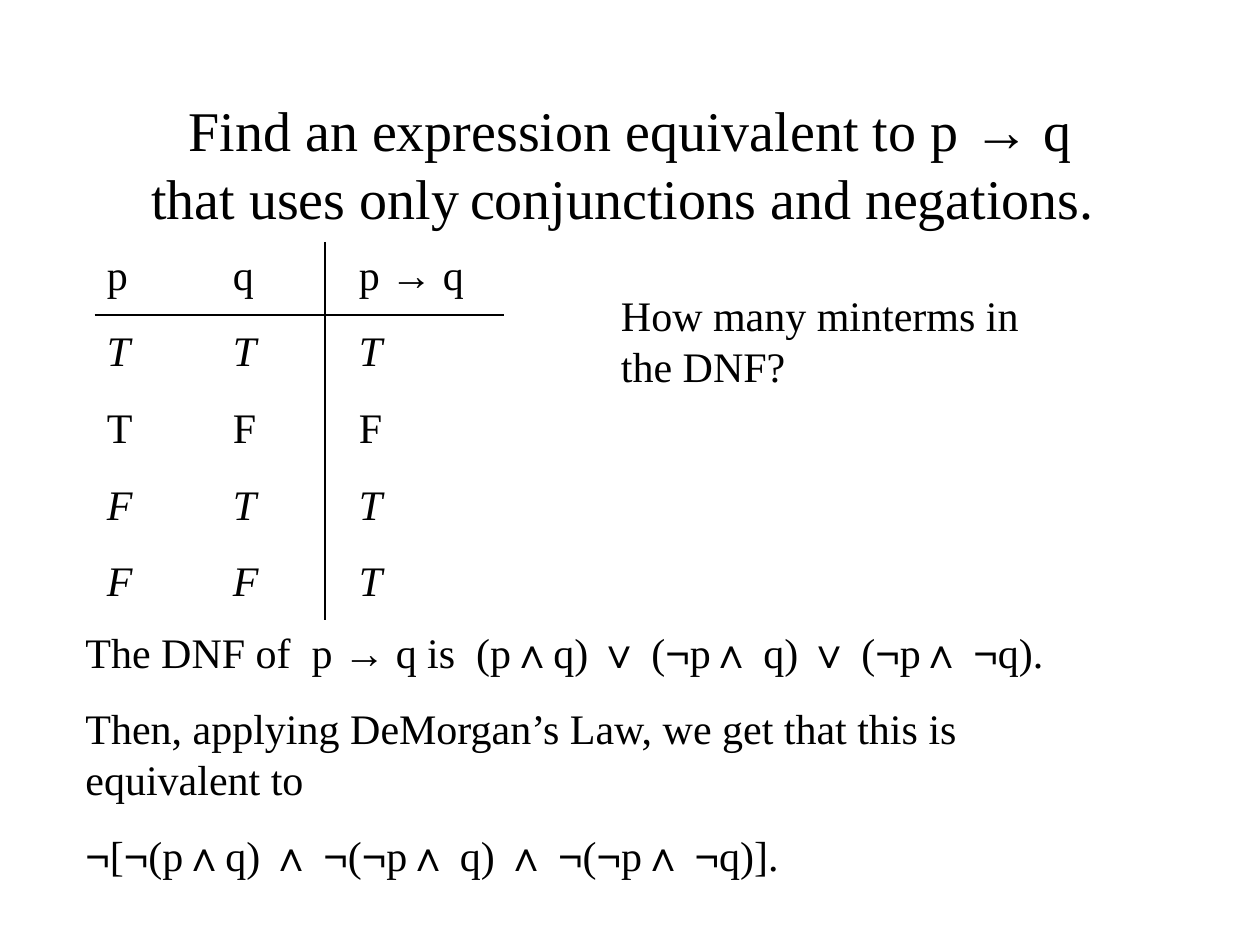
from itertools import groupby

from lxml.etree import SubElement
from pptx import Presentation
from pptx.dml.color import RGBColor
from pptx.enum.shapes import MSO_CONNECTOR as Link
from pptx.enum.text import MSO_ANCHOR as Anchor, PP_ALIGN as Align
from pptx.oxml.ns import qn
from pptx.util import Inches, Pt

BLACK = RGBColor(0, 0, 0)
SIGNS = "→∧∨¬"

deck = Presentation()
deck.slide_width, deck.slide_height = Inches(10), Inches(7.5)
slide = deck.slides.add_slide(deck.slide_layouts[6])
shapes = slide.shapes


def add_box(left, top, width, height):
    box = shapes.add_textbox(*map(Inches, (left, top, width, height)))
    box.text_frame.word_wrap = True
    return box.text_frame


def write(par, text, size=24, italic=False):
    """Append text to a paragraph, with the logic signs in Arial."""
    for sign, chars in groupby(text, lambda char: char in SIGNS):
        run = par.add_run()
        run.text = "".join(chars)
        font = run.font
        font.name = "Arial" if sign else "Times New Roman"
        font.size, font.italic = Pt(size), italic
        font.color.rgb = BLACK


# Title
frame = add_box(0.75, 0.67, 8.5, 1.25)
frame.vertical_anchor = Anchor.MIDDLE
title = frame.paragraphs[0]
title.alignment = Align.CENTER
write(title, "Find an expression equivalent to p → q", 32)
title.add_line_break()
write(title, "that uses only", 32)
write(title, " ")
write(title, "conjunctions and negations. ", 32)

# Truth table, question and answer; rows of the DNF are italic
truth = ["p\tq\tp → q", "T\tT\tT", "T\tF\tF", "F\tT\tT", "F\tF\tT"]
answer = [
    "The DNF of  p → q is  (p∧q) ∨ (¬p∧ q) ∨ (¬p∧ ¬q).",
    "Then, applying DeMorgan’s Law, we get that this is equivalent to",
    "¬[¬(p∧q) ∧ ¬(¬p∧ q) ∧ ¬(¬p∧ ¬q)].",
]
blocks = [
    ((0.75, 1.92, 8.58, 2.94), truth),
    ((0.58, 4.92, 8.42, 2.12), answer),
    ((4.83, 2.25, 3.67, 0.9), ["How many minterms in the DNF?"]),
]
for place, lines in blocks:
    frame = add_box(*place)
    for i, line in enumerate(lines):
        par = frame.add_paragraph() if i else frame.paragraphs[0]
        par.space_before = Pt(15)
        write(par, line, italic=line.endswith("\tT"))
        # One tab stop an inch for each further column
        if "\t" in line:
            tabs = SubElement(par._p.get_or_add_pPr(), qn("a:tabLst"))
            for col in range(1, line.count("\t") + 1):
                SubElement(tabs, qn("a:tab"), pos=str(Inches(col)), algn="l")

# Rules of the truth table
for ends in [(0.75, 2.5, 4, 2.5), (2.58, 1.92, 2.58, 4.92)]:
    rule = shapes.add_connector(Link.STRAIGHT, *map(Inches, ends))
    rule.line.color.rgb = BLACK
    rule.line.width = Pt(0.75)
    SubElement(rule._element.spPr, qn("a:effectLst"))

deck.save("out.pptx")
